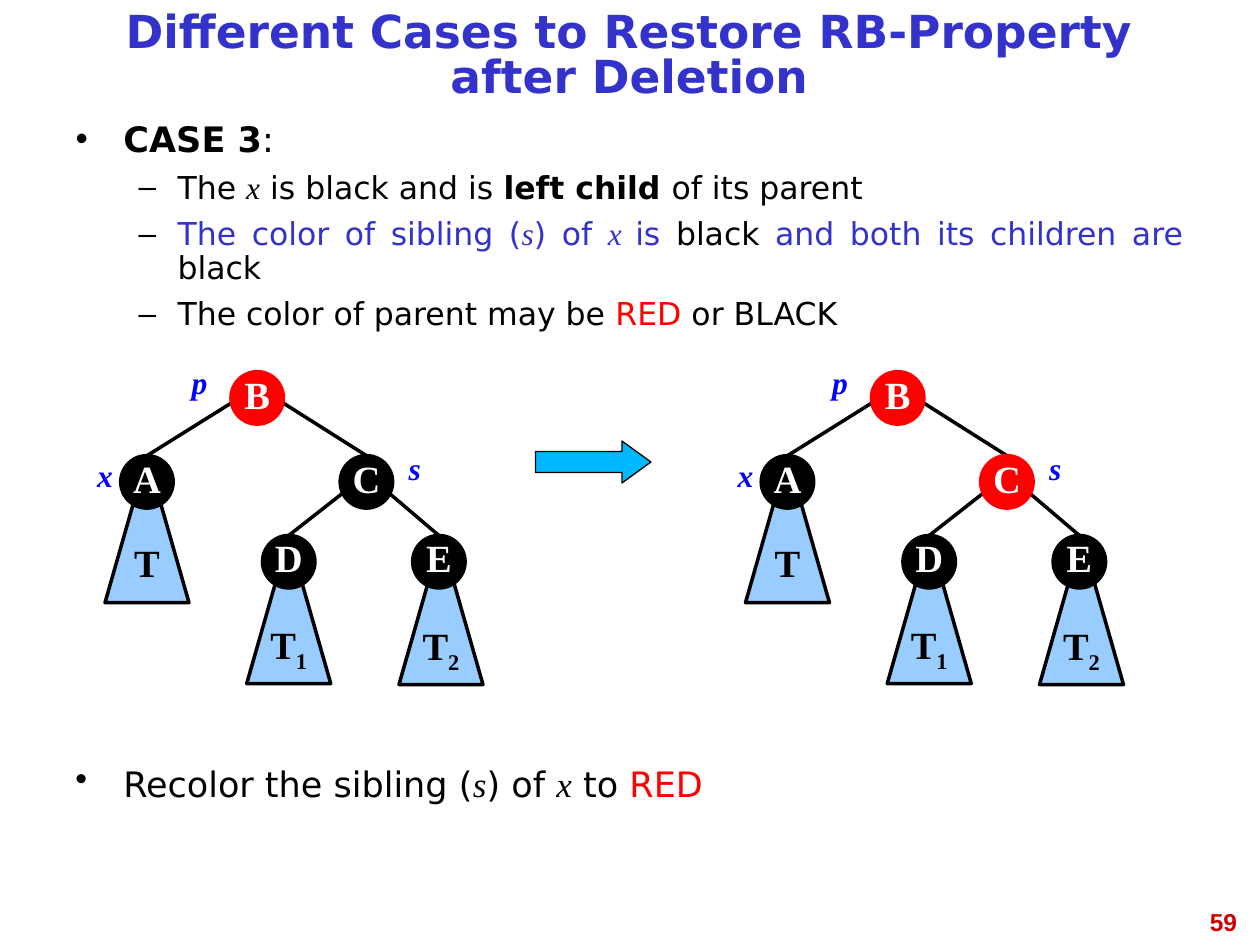
from lxml.etree import SubElement
from pptx import Presentation
from pptx.dml.color import RGBColor
from pptx.enum.shapes import MSO_CONNECTOR, MSO_SHAPE
from pptx.enum.text import MSO_ANCHOR, MSO_AUTO_SIZE, PP_ALIGN
from pptx.oxml.ns import qn
from pptx.util import Inches, Pt

BLACK = RGBColor(0x00, 0x00, 0x00)
WHITE = RGBColor(0xFF, 0xFF, 0xFF)
RED = RGBColor(0xFF, 0x00, 0x00)
INDIGO = RGBColor(0x33, 0x33, 0xCC)
BLUE = RGBColor(0x00, 0x00, 0xFF)
CRIMSON = RGBColor(0xCC, 0x00, 0x00)
PALE_BLUE = RGBColor(0x99, 0xCC, 0xFF)
CYAN = RGBColor(0x00, 0xB8, 0xFF)

SANS = {"name": "DejaVu Sans", "size": Pt(18), "color": BLACK}
VARIABLE = {"name": "Times New Roman", "italic": True}
STRONG = {"bold": True}
LARGE = {"size": Pt(20)}
NODE_TEXT = {"name": "Times New Roman", "size": Pt(22), "bold": True}
LABEL_TEXT = {**VARIABLE, "size": Pt(18), "bold": True, "color": BLUE}
TITLE_TEXT = {"size": Pt(26), "bold": True, "color": INDIGO}
NUMBER_TEXT = {"name": "Arial", "size": Pt(14), "bold": True, "color": CRIMSON}
IN_BLUE = {"color": INDIGO}
IN_RED = {"color": RED}

LEVELS = {
    0: {"bullet": "•", "margin": 0.38, "hang": 0.38, "before": 8},
    1: {"bullet": "–", "margin": 0.81, "hang": 0.31, "before": 7},
}
CASE_ITEMS = [
    (0, [("CASE 3", {**LARGE, **STRONG}), (":", LARGE)]),
    (1, [("The ", {}), ("x", VARIABLE), (" is black and is ", {}),
         ("left child ", STRONG), ("of its parent", {})]),
    (1, [("The color of sibling (", IN_BLUE), ("s", {**VARIABLE, **IN_BLUE}),
         (") of ", IN_BLUE), ("x ", {**VARIABLE, **IN_BLUE}), ("is ", IN_BLUE),
         ("black", {}), (" and both its children are ", IN_BLUE), ("black", {})]),
    (1, [("The color of parent may be ", {}), ("RED", IN_RED), (" or BLACK", {})]),
]
RECOLOR_ITEMS = [
    (0, [("Recolor the sibling (", LARGE), ("s", {**LARGE, **VARIABLE}),
         (") of ", LARGE), ("x", {**LARGE, **VARIABLE}), (" to ", LARGE),
         ("RED", {**LARGE, **IN_RED})]),
]

NODE_SIZE = 5
NODES = {"B": (22, 35.4), "A": (11.5, 43.4), "C": (32.4, 43.4),
         "D": (25, 51), "E": (39.3, 51)}
EDGES = [("B", "A", 0, 3), ("B", "C", 5, 3), ("C", "D", 0.2, 3.6), ("C", "E", 4.7, 3.6)]
SUBTREES = [(10, 43.4, ""), (23.5, 51.1, "1"), (38, 51.2, "2")]
LABELS = [("p", 14, 34, 10), ("s", 36, 42.2, 7), ("x", 7, 42.8, 6)]
TREE_OFFSET = 61


class SlideBuilder:
    """Draws styled elements on one slide, placed on a grid of 120 columns by 90 rows."""

    columns, rows = 120, 90

    def __init__(self):
        self.presentation = Presentation()
        self.presentation.slide_width = Inches(10)
        self.presentation.slide_height = Inches(7.5)
        self.slide = self.presentation.slides.add_slide(self.presentation.slide_layouts[1])

    def across(self, column):
        return round(self.presentation.slide_width * column / self.columns)

    def down(self, row):
        return round(self.presentation.slide_height * row / self.rows)

    def box(self, left, top, width, height):
        return self.across(left), self.down(top), self.across(width), self.down(height)

    def place(self, shape, *cells):
        for name, value in zip(("left", "top", "width", "height"), self.box(*cells)):
            setattr(shape, name, value)

    def add_runs(self, paragraph, runs):
        for text, style in runs:
            run = paragraph.add_run()
            run.text = text
            for name, value in {**SANS, **style}.items():
                if name == "color":
                    run.font.color.rgb = value
                elif name == "baseline":
                    run.font._element.set(name, value)
                else:
                    setattr(run.font, name, value)

    def title(self, text, *cells):
        shape = self.slide.shapes.title
        self.place(shape, *cells)
        frame = shape.text_frame
        frame.auto_size = MSO_AUTO_SIZE.NONE
        frame.vertical_anchor = MSO_ANCHOR.MIDDLE
        paragraph = frame.paragraphs[0]
        paragraph.alignment, paragraph.line_spacing = PP_ALIGN.CENTER, 0.81
        self.add_runs(paragraph, [(text, TITLE_TEXT)])

    def bullets(self, shape, items, spacing):
        frame = shape.text_frame
        frame.word_wrap = True
        frame.auto_size = MSO_AUTO_SIZE.NONE
        for index, (level, runs) in enumerate(items):
            paragraph = frame.add_paragraph() if index else frame.paragraphs[0]
            style = LEVELS[level]
            properties = paragraph._p.get_or_add_pPr()
            properties.set("marL", str(Inches(style["margin"])))
            properties.set("indent", str(-Inches(style["hang"])))
            color = SubElement(properties, qn("a:buClr"))
            SubElement(color, qn("a:srgbClr"), val=str(BLACK))
            SubElement(properties, qn("a:buChar"), char=style["bullet"])
            formats = {"level": level, "alignment": PP_ALIGN.JUSTIFY, "line_spacing": spacing,
                       "space_before": Pt(style["before"] if index else 0)}
            for name, value in formats.items():
                setattr(paragraph, name, value)
            self.add_runs(paragraph, runs)

    def body(self, items, *cells):
        shape = self.slide.placeholders[1]
        self.place(shape, *cells)
        self.bullets(shape, items, 0.9)

    def list_box(self, items, *cells):
        self.bullets(self.slide.shapes.add_textbox(*self.box(*cells)), items, 1.0)

    def text(self, text, style, alignment, *cells):
        frame = self.slide.shapes.add_textbox(*self.box(*cells)).text_frame
        frame.word_wrap = True
        paragraph = frame.paragraphs[0]
        paragraph.alignment = alignment
        self.add_runs(paragraph, [(text, style)])

    def shape(self, kind, cells, fill, line, weight=2, runs=()):
        shape = self.slide.shapes.add_shape(kind, *self.box(*cells))
        shape.shadow.inherit = False
        shape.fill.solid()
        shape.fill.fore_color.rgb = fill
        shape.line.color.rgb = line
        shape.line.width = Pt(weight)
        frame = shape.text_frame
        frame.word_wrap = False
        frame.vertical_anchor = MSO_ANCHOR.MIDDLE
        paragraph = frame.paragraphs[0]
        paragraph.alignment, paragraph.line_spacing = PP_ALIGN.CENTER, 0.81
        self.add_runs(paragraph, runs)
        return shape

    def edge(self, start, end):
        connector = self.slide.shapes.add_connector(
            MSO_CONNECTOR.STRAIGHT, self.across(start[0]), self.down(start[1]),
            self.across(end[0]), self.down(end[1]))
        connector.line.color.rgb = BLACK
        connector.line.width = Pt(2)
        SubElement(connector._element.spPr, qn("a:effectLst"))

    def tree(self, offset, red_nodes):
        for parent, child, right, below in EDGES:
            left, top = NODES[parent]
            child_left, child_top = NODES[child]
            self.edge((offset + left + right, top + below),
                      (offset + child_left + NODE_SIZE / 2, child_top))
        for left, top, number in SUBTREES:
            runs = [("T", NODE_TEXT)]
            if number:
                runs.append((number, {**NODE_TEXT, "baseline": "-25000"}))
            self.shape(MSO_SHAPE.ISOSCELES_TRIANGLE, (offset + left, top, 8, 14),
                       PALE_BLUE, BLACK, runs=runs)
        for name, (left, top) in NODES.items():
            color = RED if name in red_nodes else BLACK
            self.shape(MSO_SHAPE.OVAL, (offset + left, top, NODE_SIZE, NODE_SIZE), color, color,
                       runs=[(name, {**NODE_TEXT, "color": WHITE})])
        for name, left, top, width in LABELS:
            self.text(name, LABEL_TEXT, PP_ALIGN.CENTER, offset + left, top, width, 4.8)

    def arrow(self, *cells):
        shape = self.shape(MSO_SHAPE.RIGHT_ARROW, cells, CYAN, BLACK, 0.75)
        shape.adjustments[1] = 0.69


def main():
    builder = SlideBuilder()
    builder.title("Different Cases to Restore RB-Property after Deletion", 6, 1, 107.9, 9)
    builder.body(CASE_ITEMS, 6, 11, 107.9, 23)
    builder.tree(0, "B")
    builder.tree(TREE_OFFSET, "BC")
    builder.arrow(51, 42, 11, 4)
    builder.list_box(RECOLOR_ITEMS, 6, 72, 107.9, 15)
    builder.text("59", NUMBER_TEXT, PP_ALIGN.RIGHT, 91, 85.8, 28, 6.2)
    builder.presentation.save("out.pptx")


if __name__ == "__main__":
    main()
